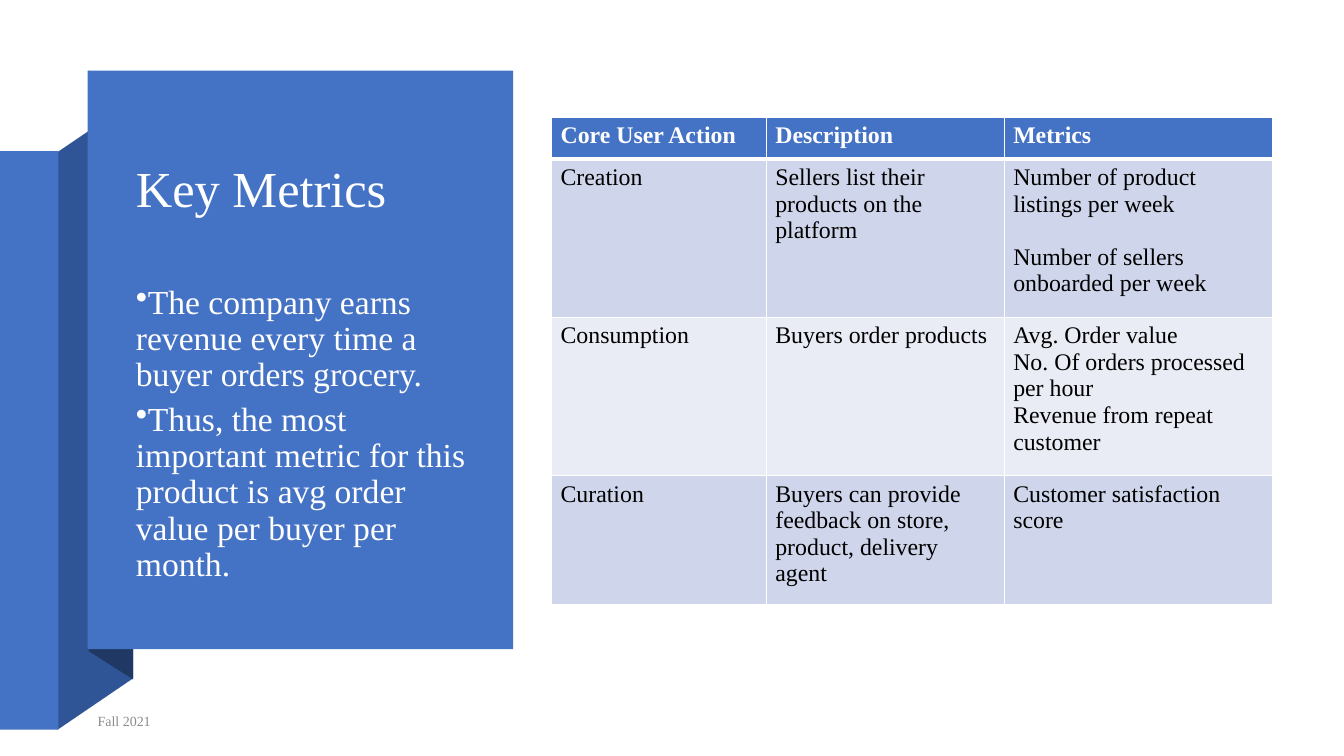
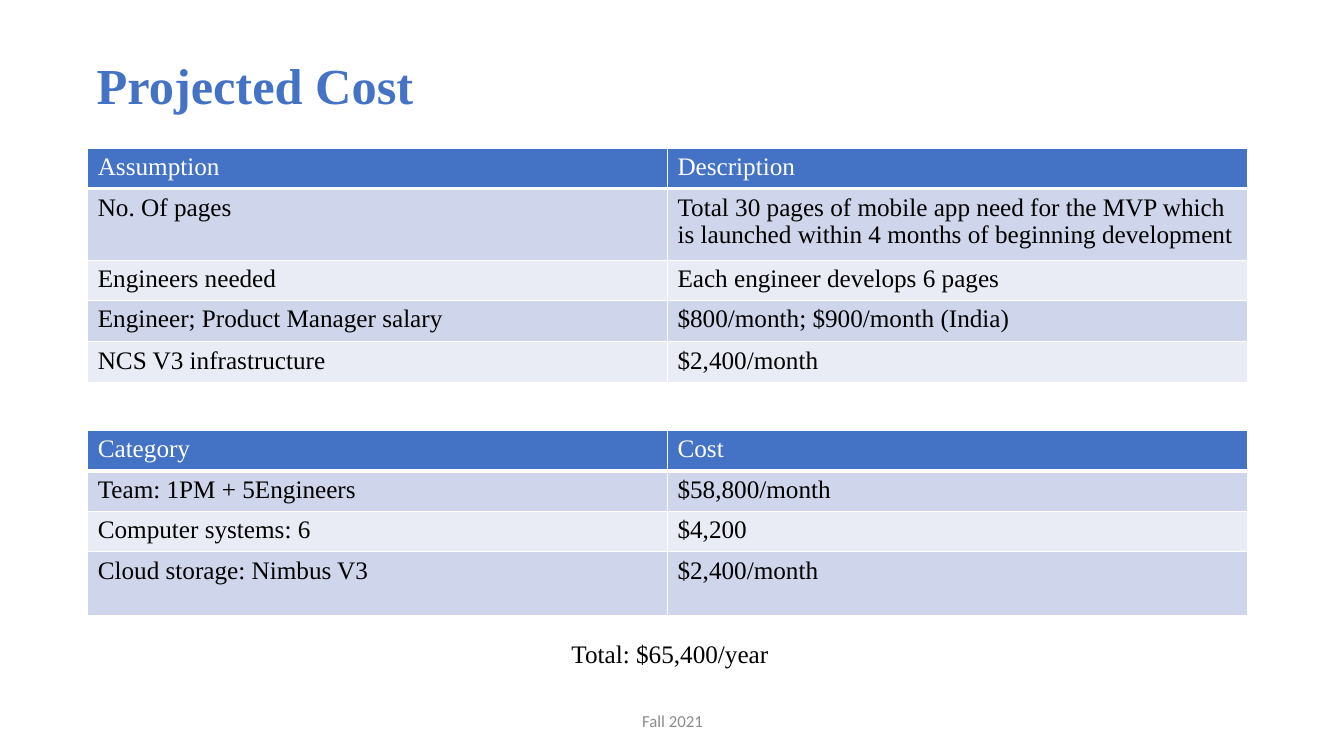
from lxml import etree
from pptx import Presentation
from pptx.dml.color import RGBColor
from pptx.enum.shapes import MSO_SHAPE
from pptx.enum.text import MSO_ANCHOR, PP_ALIGN
from pptx.oxml.ns import qn
from pptx.util import Inches, Pt

RECTANGLE = MSO_SHAPE.RECTANGLE
TOP, MIDDLE = MSO_ANCHOR.TOP, MSO_ANCHOR.MIDDLE
LEFT, CENTER = PP_ALIGN.LEFT, PP_ALIGN.CENTER
SERIF, SANS = "Times New Roman", "Calibri"
TITLE_SIZE = 36
FOOTER = "Fall 2021"
COLORS = {
    "blue": "4472C4",
    "fold": "2F5597",
    "shade": "203864",
    "odd_row": "CFD5EA",
    "even_row": "E9EBF5",
    "white": "FFFFFF",
    "black": "000000",
    "gray": "8C8C8C",
}


def add_text(slide, box, lines, size, color, font=SERIF, bold=False,
             anchor=TOP, align=LEFT, line_spacing=None):
    shape = slide.shapes.add_textbox(*map(Inches, box))
    frame = shape.text_frame
    frame.word_wrap = True
    frame.vertical_anchor = anchor
    frame.text = "\n".join(lines)
    for paragraph in frame.paragraphs:
        paragraph.alignment = align
        paragraph.line_spacing = line_spacing
        paragraph.font.size = Pt(size)
        for run in paragraph.runs:
            run.font.size = Pt(size)
            run.font.name = font
            run.font.bold = bold
            run.font.color.rgb = RGBColor.from_string(COLORS[color])
    return frame


def add_grid(slide, left, top, widths, heights, rows, size,
             bold_header=False, margin=0.1, paragraph_gap=0):
    table = slide.shapes.add_table(
        len(rows), len(widths), Inches(left), Inches(top),
        Inches(sum(widths)), Inches(sum(heights))).table
    for column, width in zip(table.columns, widths):
        column.width = Inches(width)
    for row, height in zip(table.rows, heights):
        row.height = Inches(height)
    for row_index, row in enumerate(rows):
        header = row_index == 0
        band = "blue" if header else "odd_row" if row_index % 2 else "even_row"
        for column_index, text in enumerate(row):
            cell = table.cell(row_index, column_index)
            cell.margin_left = cell.margin_right = Inches(margin)
            cell.text_frame.text = text
            for paragraph in cell.text_frame.paragraphs:
                for run in paragraph.runs:
                    run.font.size = Pt(size)
                    run.font.name = SERIF
                    run.font.bold = header and bold_header
                    run.font.color.rgb = RGBColor.from_string(
                        COLORS["white" if header else "black"])
            properties = cell._tc.get_or_add_tcPr()
            for side in ("L", "R", "T", "B"):
                thick = (header and side == "B") or (row_index == 1 and side == "T")
                border = etree.SubElement(
                    properties, qn(f"a:ln{side}"), w=str(Pt(3 if thick else 1)))
                fill = etree.SubElement(border, qn("a:solidFill"))
                etree.SubElement(fill, qn("a:srgbClr"), val=COLORS["white"])
            cell.fill.solid()
            cell.fill.fore_color.rgb = RGBColor.from_string(COLORS[band])
    return table


presentation = Presentation()
presentation.slide_width = Inches(13.33)
presentation.slide_height = Inches(7.5)
blank_layout = presentation.slide_layouts[6]

metrics_slide = presentation.slides.add_slide(blank_layout)
ribbon = [
    ("fold", [(0.57, 7.24), (1.32, 6.73), (1.32, 1), (0.57, 1.51)]),
    ("blue", [(0, 1.5), (0.58, 1.5), (0.58, 7.24), (0, 7.24)]),
    ("shade", [(0.88, 6.46), (1.32, 6.74), (1.32, 0.99), (0.88, 0.7)]),
    ("blue", [(0.87, 0.7), (5.09, 0.7), (5.09, 6.44), (0.87, 6.44)]),
]
for color, points in ribbon:
    corners = [(Inches(x), Inches(y)) for x, y in points]
    if color == "blue":
        (left, top), (right, bottom) = corners[0], corners[2]
        shape = metrics_slide.shapes.add_shape(
            RECTANGLE, left, top, right - left, bottom - top)
    else:
        builder = metrics_slide.shapes.build_freeform(*corners[0])
        builder.add_line_segments(corners[1:], close=True)
        shape = builder.convert_to_shape()
    shape.shadow.inherit = False
    shape.fill.solid()
    shape.fill.fore_color.rgb = RGBColor.from_string(COLORS[color])
    shape.line.fill.background()

add_text(metrics_slide, (1.25, 1.09, 3.48, 1.61), ["Key Metrics"],
         TITLE_SIZE, "white", anchor=MIDDLE, line_spacing=0.9)
takeaways = add_text(metrics_slide, (1.25, 2.78, 3.5, 3.27), [
    "The company earns revenue every time a buyer orders grocery.",
    "Thus, the most important metric for this product is avg order value per buyer per month.",
], 24, "white", line_spacing=0.9)
for paragraph in takeaways.paragraphs:
    paragraph.space_after = Pt(6)
    properties = paragraph._p.get_or_add_pPr()
    properties.set("marL", "0")
    properties.set("indent", str(-Inches(0.25)))
    bullet = etree.Element(qn("a:buChar"), char="•")
    properties.find(qn("a:spcAft")).addnext(bullet)

add_text(metrics_slide, (0.87, 6.98, 7.39, 0.35), [FOOTER], 10, "gray", anchor=MIDDLE)
metrics_table = add_grid(
    metrics_slide, 5.47, 1.16, [2.13, 2.36, 2.66], [0.42, 1.57, 1.57, 1.28], [
        ("Core User Action", "Description", "Metrics"),
        ("Creation", "Sellers list their products on the platform",
         "Number of product listings per week\nNumber of sellers onboarded per week"),
        ("Consumption", "Buyers order products",
         "Avg. Order value\nNo. Of orders processed per hour\nRevenue from repeat customer"),
        ("Curation", "Buyers can provide feedback on store, product, delivery agent",
         "Customer satisfaction score"),
    ], 17, bold_header=True, margin=0.09)
metrics_table.cell(1, 2).text_frame.paragraphs[1].space_before = Pt(19)

cost_slide = presentation.slides.add_slide(blank_layout)
add_text(cost_slide, (0.86, 0.15, 11.5, 1.45), ["Projected Cost"],
         TITLE_SIZE, "blue", bold=True, anchor=MIDDLE, line_spacing=0.9)
cost_tables = [
    (1.47, [0.4, 0.71, 0.4, 0.41, 0.4], [
        ("Assumption", "Description"),
        ("No. Of pages", "Total 30 pages of mobile app need for the MVP which "
                         "is launched within 4 months of beginning development"),
        ("Engineers needed", "Each engineer develops 6 pages"),
        ("Engineer; Product Manager salary", "$800/month; $900/month (India)"),
        ("NCS V3 infrastructure", "$2,400/month"),
    ]),
    (4.27, [0.37, 0.38, 0.38, 0.64], [
        ("Category", "Cost"),
        ("Team: 1PM + 5Engineers", "$58,800/month"),
        ("Computer systems: 6", "$4,200"),
        ("Cloud storage: Nimbus V3", "$2,400/month"),
    ]),
]
for top, heights, rows in cost_tables:
    add_grid(cost_slide, 0.87, top, [5.75, 5.75], heights, rows, 18)
add_text(cost_slide, (5.57, 6.28, 3, 0.4), ["Total: $65,400/year"], 18, "black")
add_text(cost_slide, (4.42, 6.95, 4.5, 0.4), [FOOTER], 12, "gray",
         font=SANS, anchor=MIDDLE, align=CENTER)

presentation.save("out.pptx")
